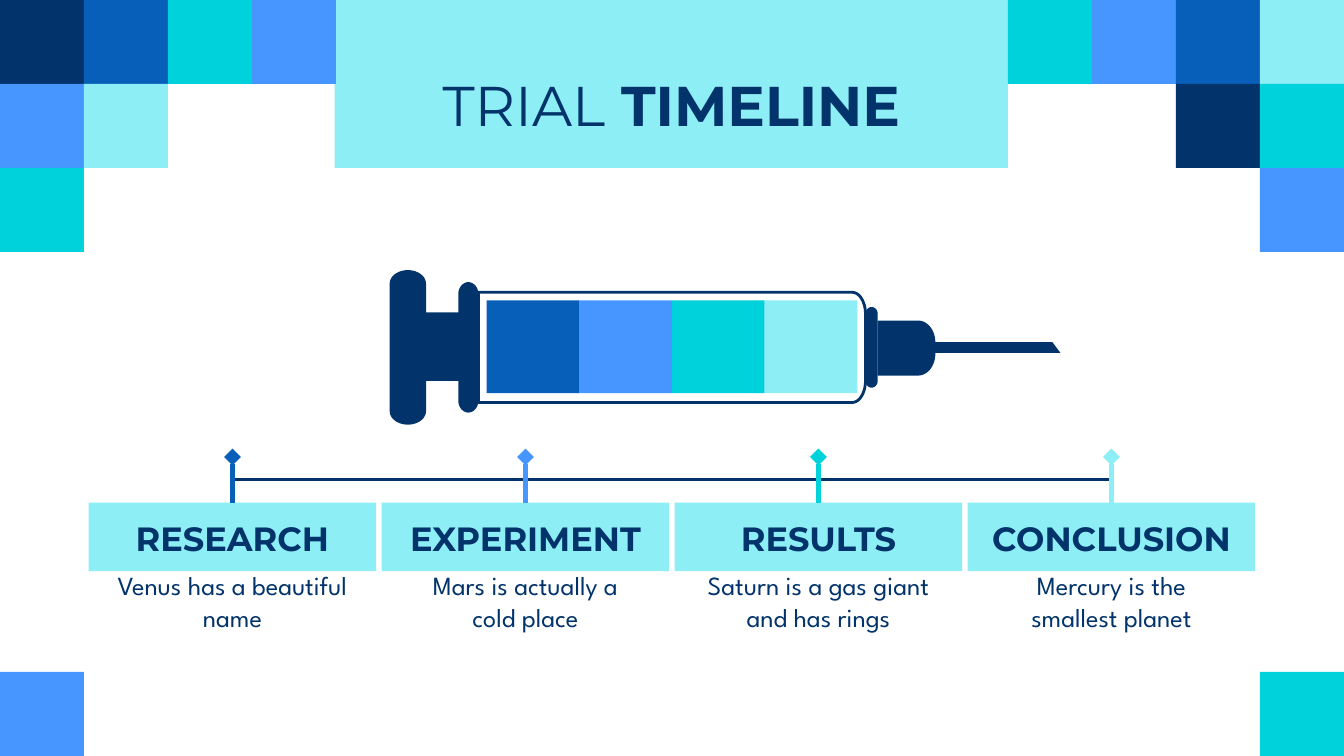
from math import cos, pi, sin

from pptx import Presentation
from pptx.dml.color import RGBColor
from pptx.enum.shapes import MSO_CONNECTOR as Link, MSO_SHAPE as Shape
from pptx.enum.text import MSO_ANCHOR as Anchor, MSO_AUTO_SIZE as Fit, PP_ALIGN as Align
from pptx.oxml.ns import qn
from pptx.util import Inches, Pt

HUES = {"navy": "02336A", "blue": "085FBA", "sky": "4796FF",
        "teal": "00D2DC", "pale": "8DEEF5"}
SIDE = 10 / 16  # the slide is a grid of 16 by 9 tiles
TILES = {  # row: {column: colour}
    0: {0: "navy", 1: "blue", 2: "teal", 3: "sky",
        12: "teal", 13: "sky", 14: "blue", 15: "pale"},
    1: {0: "sky", 1: "pale", 14: "navy", 15: "teal"},
    2: {0: "teal", 15: "sky"},
    8: {0: "sky", 15: "teal"},
}
STEPS = [
    ("RESEARCH", "Venus has a beautiful name", "blue"),
    ("EXPERIMENT", "Mars is actually a cold place", "sky"),
    ("RESULTS", "Saturn is a gas giant and has rings", "teal"),
    ("CONCLUSION", "Mercury is the smallest planet", "pale"),
]


def color(name):
    return RGBColor.from_string(HUES[name])


def paint(shape, fill=None, line=None):
    shape.shadow.inherit = False
    if fill:
        shape.fill.solid()
        shape.fill.fore_color.rgb = color(fill)
    else:
        shape.fill.background()
    if line:
        shape.line.color.rgb = color(line)
        shape.line.width = Pt(1.5)
    else:
        shape.line.fill.background()


def place(shape, x, y, w, h):
    shape.left, shape.top, shape.width, shape.height = map(Inches, (x, y, w, h))


def rect(shapes, x, y, w, h, fill):
    shape = shapes.add_shape(Shape.RECTANGLE, *map(Inches, (x, y, w, h)))
    paint(shape, fill)
    return shape


def text(shape, *runs, size=14, face="Montserrat", anchor=Anchor.MIDDLE,
         pads=(0.1, 0.1, 0.1, 0.1)):
    """Write (words, bold) runs as one centred paragraph."""
    frame = shape.text_frame
    frame.word_wrap = True
    frame.auto_size = Fit.NONE
    frame.vertical_anchor = anchor
    (frame.margin_left, frame.margin_top,
     frame.margin_right, frame.margin_bottom) = map(Inches, pads)
    para = frame.paragraphs[0]
    para.alignment = Align.CENTER
    para.space_before = Pt(0)
    props = para._p.get_or_add_pPr()
    props.set("marL", "0")
    props.set("indent", "0")
    props.append(props.makeelement(qn("a:buNone"), {}))
    for words, bold in runs:
        run = para.add_run()
        run.text = words
        font = run.font
        font.name, font.size, font.bold = face, Pt(size), bold
        font.color.rgb = color("navy")


def line(shapes, x1, y1, x2, y2, hue, width, tip=None):
    link = shapes.add_connector(Link.STRAIGHT, *map(Inches, (x1, y1, x2, y2)))
    link.line.color.rgb = color(hue)
    link.line.width = Pt(width)
    props = link._element.spPr
    if tip:
        stroke = link.line._get_or_add_ln()
        stroke.append(stroke.makeelement(qn("a:tailEnd"), {"type": tip}))
    props.append(props.makeelement(qn("a:effectLst"), {}))


def outline(shapes, points, **style):
    spots = [(Inches(x), Inches(y)) for x, y in points]
    pen = shapes.build_freeform(*spots[0])
    pen.add_line_segments(spots[1:], close=True)
    paint(pen.convert_to_shape(), **style)


def rounded(shapes, x, y, w, h, rx, ry, both=True, **style):
    """Box with elliptic corners on the right, and on the left if both."""
    corners = [(x + w - rx, y + h - ry, 0), (x + rx, y + h - ry, 1),
               (x + rx, y + ry, 2), (x + w - rx, y + ry, 3)]
    points = []
    for cx, cy, turn in corners:
        if turn in (1, 2) and not both:
            points.append((x, y + h if turn == 1 else y))
            continue
        for step in range(13):
            angle = (turn + step / 12) * pi / 2
            points.append((cx + rx * cos(angle), cy + ry * sin(angle)))
    outline(shapes, points, **style)


def tiles(shapes):
    for row, cells in TILES.items():
        for col, hue in cells.items():
            rect(shapes, col * SIDE, row * SIDE, SIDE, SIDE, hue)


def banner(title, x, y, w, h):
    place(title, x, y, w, h)
    paint(title, "pale")
    text(title, ("TRIAL", False), (" TIMELINE", True), size=30,
         pads=(0.1, 0.3, 0.1, 0))


def syringe(shapes, x, y, h):
    group = shapes.add_group_shape().shapes
    mid = y + h / 2
    navy = {"fill": "navy"}
    # Plunger rod, needle and hub
    rect(group, x + 0.14, mid - 0.26, 0.4, 0.51, "navy")
    top, low = mid - 0.04, mid + 0.04
    outline(group, [(x + 3.79, top), (x + 3.79, low), (x + 4.99, low),
                    (x + 4.93, top)], **navy)
    rounded(group, x + 3.63, mid - 0.2, 0.43, 0.41, 0.13, 0.16, both=False, **navy)
    # Barrel
    rounded(group, x + 0.66, mid - 0.41, 2.88, 0.82, 0.1, 0.16, both=False, line="navy")
    # Flange, thumb rest and collar
    for dx, w, tall, ry in [(0.51, 0.15, 0.97, 0.09), (0, 0.27, h, 0.1),
                            (3.54, 0.09, 0.6, 0.05)]:
        rounded(group, x + dx, mid - tall / 2, w, tall, w / 2, ry, **navy)
    # Doses
    for i, (_, _, hue) in enumerate(STEPS):
        rect(group, x + 0.72 + i * 0.69, mid - 0.35, 0.69, 0.69, hue)


def timeline(shapes, bodies, x, y, w, pitch):
    # Step cards
    for i, (head, note, _) in enumerate(STEPS):
        left = x + i * pitch
        card = rect(shapes, left, y + 0.34, w, 0.51, "pale")
        text(card, (head, True), size=18, anchor=Anchor.BOTTOM)
        place(bodies[i], left + 0.1, y + 0.74, w - 0.2, 0.63)
        text(bodies[i], (note, False), face="League Spartan", anchor=Anchor.TOP)
    # Axis and markers
    group = shapes.add_group_shape().shapes
    start = x + w / 2
    line(group, start, y + 0.17, start + 3 * pitch, y + 0.17, "navy", 1.5)
    for i, (_, _, hue) in enumerate(STEPS):
        spot = start + i * pitch
        line(group, spot, y + 0.34, spot, y, hue, 3, tip="diamond")


def main():
    deck = Presentation()
    deck.slide_width, deck.slide_height = Inches(10), Inches(9 * SIDE)
    slide = deck.slides.add_slide(deck.slide_layouts.get_by_name("Comparison"))
    shapes = slide.shapes
    title, *bodies = slide.placeholders
    tiles(shapes)
    banner(title, 2.49, 0, 5.01, 1.25)
    syringe(shapes, 2.9, 2.01, 1.15)
    timeline(shapes, bodies, 0.66, 3.4, 2.14, 2.18)
    deck.save("out.pptx")


if __name__ == "__main__":
    main()
